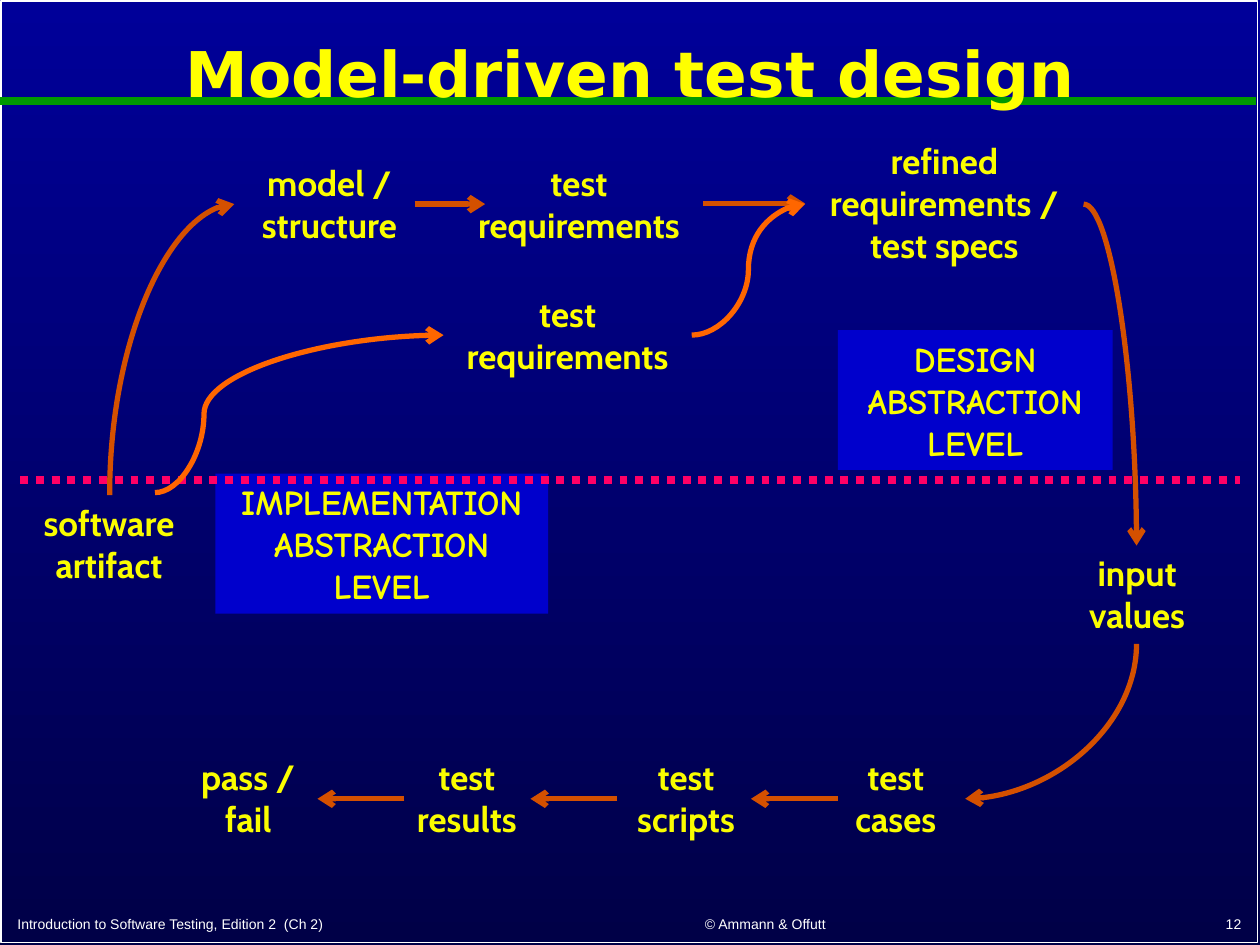
from lxml import etree
from pptx import Presentation
from pptx.dml.color import RGBColor
from pptx.enum.dml import MSO_LINE
from pptx.enum.shapes import MSO_CONNECTOR, MSO_SHAPE
from pptx.enum.text import MSO_ANCHOR, PP_ALIGN
from pptx.oxml.ns import qn
from pptx.util import Pt

PX = 9144
WIDTH, HEIGHT = 1000, 750
LEFT, CENTER, RIGHT = PP_ALIGN.LEFT, PP_ALIGN.CENTER, PP_ALIGN.RIGHT
MIDDLE, BOTTOM = MSO_ANCHOR.MIDDLE, MSO_ANCHOR.BOTTOM
STRAIGHT, CURVE = MSO_CONNECTOR.STRAIGHT, MSO_CONNECTOR.CURVE
RECTANGLE = MSO_SHAPE.RECTANGLE
DOTTED = MSO_LINE.ROUND_DOT
RIGHT_SIDE, LEFT_SIDE = 3, 1
YELLOW, LEMON, WHITE = "FFFF00", "FAFD00", "FFFFFF"
RUST, ORANGE = "D45000", "FF6600"
UPPER_Y, LOWER_Y, LOWER_TOP = 162, 634, 595


def color(value):
    """Return the colour for a hex string."""
    return RGBColor.from_string(value)


def emu(*lengths):
    """Turn px lengths into EMU."""
    return [round(length * PX) for length in lengths]


def write(shape, lines, size, font, fill, align=CENTER, anchor=None, bold=True, wrap=True):
    """Write one formatted paragraph for each line."""
    frame = shape.text_frame
    frame.word_wrap = wrap
    if anchor is not None:
        frame.vertical_anchor = anchor
    for index, line in enumerate(lines):
        paragraph = frame.add_paragraph() if index else frame.paragraphs[0]
        paragraph.alignment = align
        run = paragraph.add_run()
        run.text = line
        run.font.size = Pt(size)
        run.font.name = font
        run.font.bold = bold
        run.font.color.rgb = color(fill)


def add_label(slide, text, box, fill=LEMON):
    """Place a step of the process."""
    shape = slide.shapes.add_textbox(*emu(*box))
    write(shape, [text], 20, "Cabin", fill)
    return shape


def add_level(slide, name, box):
    """Place a filled box that names an abstraction level."""
    shape = slide.shapes.add_shape(RECTANGLE, *emu(*box))
    shape.shadow.inherit = False
    shape.fill.solid()
    shape.fill.fore_color.rgb = color("0000CC")
    shape.line.fill.background()
    write(shape, [name, "ABSTRACTION", "LEVEL"], 20, "Comic Neue", LEMON,
          anchor=MIDDLE, wrap=False)


def add_line(slide, start, end, stroke, width, kind=STRAIGHT):
    """Draw a plain connector without a shadow."""
    connector = slide.shapes.add_connector(kind, *emu(*start, *end))
    connector.line.color.rgb = color(stroke)
    connector.line.width = Pt(width)
    etree.SubElement(connector.element.spPr, qn("a:effectLst"))
    return connector


def add_arrow(slide, start, end, stroke=RUST, kind=STRAIGHT):
    """Draw a connector with an open arrowhead at its end."""
    connector = add_line(slide, start, end, stroke, 3, kind)
    outline = connector.element.spPr.find(qn("a:ln"))
    etree.SubElement(outline, qn("a:tailEnd"), type="arrow")
    return connector


def add_quarter_curve(slide, start, end, upright=True):
    """Draw a one-bend arrow that leaves vertically if upright."""
    first, last = start, end
    if upright:
        center_x, center_y = (start[0] + end[0]) / 2, (start[1] + end[1]) / 2
        first, last = [(center_x + y - center_y, center_y - x + center_x)
                       for x, y in (start, end)]
    connector = add_arrow(slide, first, last, kind=CURVE)
    properties = connector.element.spPr
    properties.find(qn("a:prstGeom")).set("prst", "curvedConnector2")
    if upright:
        properties.find(qn("a:xfrm")).set("rot", "5400000")


def add_s_curve(slide, start, end, bend):
    """Draw a two-bend arrow that turns at a share of its width."""
    connector = add_arrow(slide, start, end, ORANGE, CURVE)
    geometry = connector.element.spPr.find(qn("a:prstGeom"))
    guides = geometry.find(qn("a:avLst"))
    if guides is None:
        guides = etree.SubElement(geometry, qn("a:avLst"))
    etree.SubElement(guides, qn("a:gd"), name="adj1", fmla=f"val {round(bend * 100000)}")


def add_frame(slide):
    """Set the background, border, rule and title."""
    fill = slide.background.fill
    fill.gradient()
    fill.gradient_angle = 270
    for stop, position, value in zip(fill.gradient_stops, (0, 1), ("000099", "000047")):
        stop.position = position
        stop.color.rgb = color(value)
    border = slide.shapes.add_shape(RECTANGLE, *emu(1, 1, 997, 747))
    border.shadow.inherit = False
    border.fill.background()
    border.line.color.rgb = color(WHITE)
    border.line.width = Pt(1)
    add_line(slide, (0, 80), (997, 80), "009900", 4.5)
    title = slide.shapes.title
    title.left, title.top, title.width, title.height = emu(5, 11, 990, 100)
    write(title, ["Model-driven test design"], 36, "DejaVu Sans", YELLOW, anchor=MIDDLE)
    title.text_frame.paragraphs[0].line_spacing = 0.9
    slide.shapes.element.append(title.element)


def add_footer(slide):
    """Place the three footer texts."""
    for text, box, align in (
        ("Introduction to Software Testing, Edition 2  (Ch 2)", (4, 718, 420, 27), LEFT),
        ("© Ammann & Offutt", (449, 717, 317, 28), CENTER),
        ("12", (787, 717, 208, 28), RIGHT),
    ):
        shape = slide.shapes.add_textbox(*emu(*box))
        write(shape, [text], 8, "Arial", WHITE, align, BOTTOM, bold=False)


def add_design_steps(slide):
    """Place the steps and arrows above the dividing line."""
    add_label(slide, "model / structure", (186, 123, 151, 77))
    requirements = add_label(slide, "test requirements", (361, 123, 197, 77))
    refined = add_label(slide, "refined requirements / test specs", (639, 106, 221, 111))
    add_label(slide, "test requirements", (352, 227, 197, 77), YELLOW)
    add_arrow(slide, (329, UPPER_Y), (385, UPPER_Y))
    link = add_arrow(slide, (558, UPPER_Y), (639, UPPER_Y))
    link.begin_connect(requirements, RIGHT_SIDE)
    link.end_connect(refined, LEFT_SIDE)
    add_s_curve(slide, (549, 266), (639, UPPER_Y), 0.5)


def add_implementation_steps(slide):
    """Place the steps and arrows below the dividing line."""
    add_label(slide, "software artifact", (11, 393, 151, 77))
    add_label(slide, "input values", (827, 433, 151, 77))
    for text, left, width in (("pass / fail", 135, 124), ("test results", 308, 125),
                              ("test scripts", 482, 125), ("test cases", 656, 110)):
        add_label(slide, text, (left, LOWER_TOP, width, 77))
    for tip in (252, 421, 596):
        add_arrow(slide, (tip + 69, LOWER_Y), (tip, LOWER_Y))
    add_quarter_curve(slide, (902, 511), (766, LOWER_Y))


def add_crossings(slide):
    """Draw the dividing line and the arrows that cross it."""
    add_quarter_curve(slide, (87, 393), (186, UPPER_Y))
    add_quarter_curve(slide, (860, UPPER_Y), (902, 433), upright=False)
    divider = add_line(slide, (16, 381), (984, 381), "FF0066", 4.5)
    divider.line.dash_style = DOTTED
    add_s_curve(slide, (123, 391), (352, 266), 0.17)


def main():
    """Build and save the slide."""
    presentation = Presentation()
    presentation.slide_width, presentation.slide_height = emu(WIDTH, HEIGHT)
    slide = presentation.slides.add_slide(presentation.slide_layouts[5])
    add_frame(slide)
    add_footer(slide)
    add_design_steps(slide)
    add_implementation_steps(slide)
    add_level(slide, "IMPLEMENTATION", (171, 376, 264, 111))
    add_level(slide, "DESIGN", (665, 262, 218, 111))
    add_crossings(slide)
    presentation.save("out.pptx")


if __name__ == "__main__":
    main()
